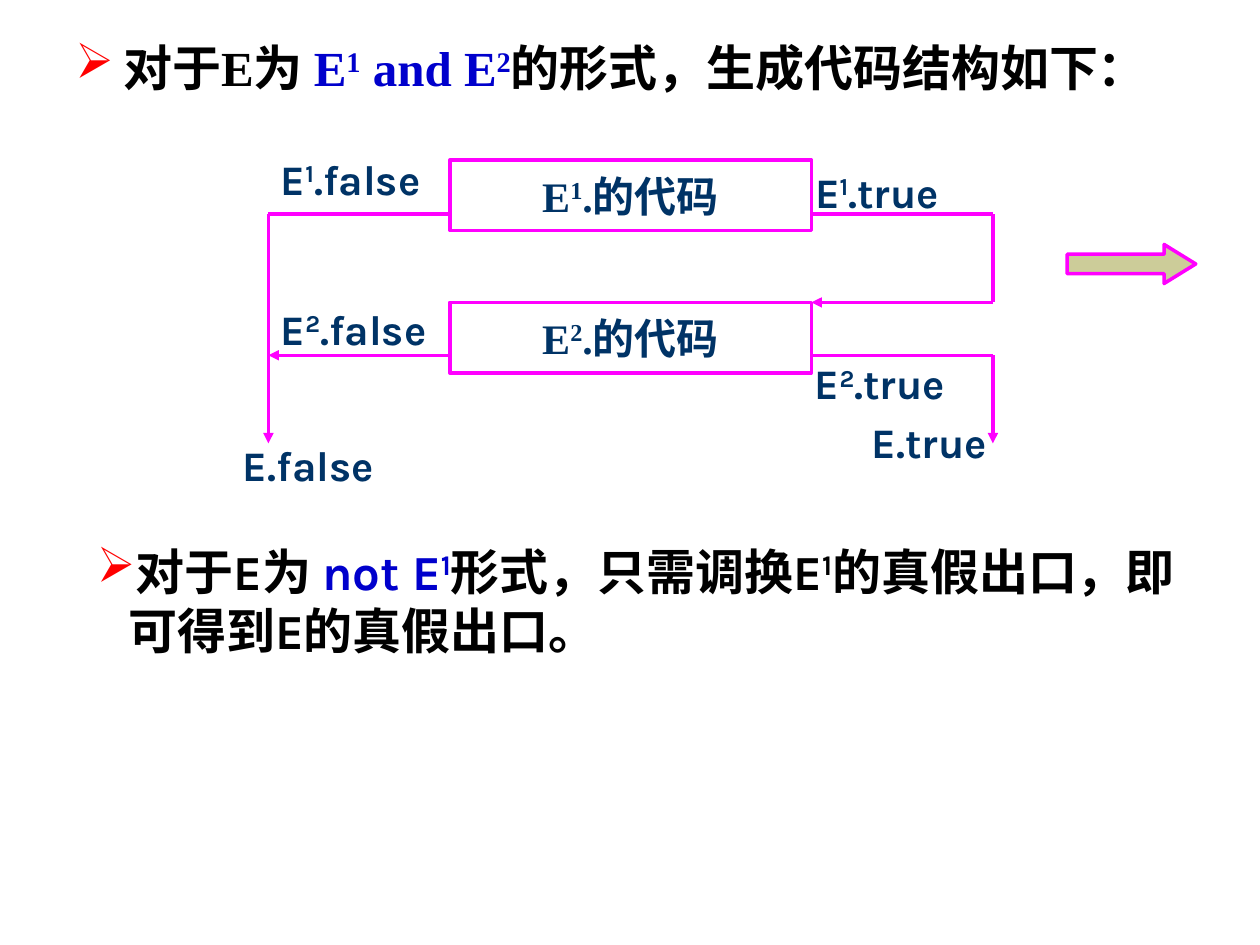
from dataclasses import dataclass
from itertools import pairwise

from lxml.etree import SubElement
from pptx import Presentation
from pptx.dml.color import RGBColor
from pptx.enum.shapes import MSO_CONNECTOR as Connector, MSO_SHAPE as Shape
from pptx.enum.text import MSO_ANCHOR as Anchor, PP_ALIGN as Align
from pptx.oxml.ns import qn
from pptx.util import Inches, Pt

MAGENTA = RGBColor(0xFF, 0x00, 0xFF)
NAVY = RGBColor(0x00, 0x33, 0x66)
BLUE = RGBColor(0x00, 0x00, 0xCC)
BLACK = RGBColor(0x00, 0x00, 0x00)
WHITE = RGBColor(0xFF, 0xFF, 0xFF)
KHAKI = RGBColor(0xCC, 0xCC, 0x99)
SERIF, SANS = "Times New Roman", "Karla"

deck = Presentation()
deck.slide_width, deck.slide_height = Inches(10), Inches(7.5)
slide = deck.slides.add_slide(deck.slide_layouts[6])

# The slide is a grid of 100 columns and 75 rows.
COLUMN, ROW = deck.slide_width / 100, deck.slide_height / 75
LEFT_RAIL, BOX_LEFT, BOX_RIGHT, RIGHT_RAIL = 21.3, 35.7, 64.4, 78.8
BOX_TOPS = (12.7, 24)
BOX_HEIGHT, EXIT_ROWS, END_ROW = 5.6, (17, 28.2), 35.2


@dataclass
class Span:
    text: str
    color: RGBColor = NAVY
    font: str = SANS
    raised: bool = False


@dataclass
class Area:
    column: float
    row: float
    columns: float
    rows: float = 5

    def lengths(self) -> tuple[int, ...]:
        return (round(self.column * COLUMN), round(self.row * ROW),
                round(self.columns * COLUMN), round(self.rows * ROW))


@dataclass
class Label:
    area: Area
    spans: list[Span]
    wrap: bool = True


@dataclass
class Bullet:
    area: Area
    indent: float
    spans: list[Span]


def indexed(number: str, suffix: str, font: str = SANS) -> list[Span]:
    """E with a raised number, then the suffix."""
    return [Span("E", font=font), Span(number, font=font, raised=True),
            Span(suffix, font=font)]


def write(para, spans: list[Span], size: int) -> None:
    for part in spans:
        span = para.add_run()
        span.text = part.text
        look = {"name": part.font, "size": Pt(size), "bold": True}
        for name, value in look.items():
            setattr(span.font, name, value)
        span.font.color.rgb = part.color
        if part.raised:
            span.font._element.set("baseline", "30000")


def add_block(kind: Shape, area: Area, fill: RGBColor):
    block = slide.shapes.add_shape(kind, *area.lengths())
    block.shadow.inherit = False
    block.fill.solid()
    block.fill.fore_color.rgb = fill
    block.line.color.rgb = MAGENTA
    block.line.width = Pt(2)
    return block


def add_code_box(number: str, top: float) -> None:
    area = Area(BOX_LEFT, top, BOX_RIGHT - BOX_LEFT, BOX_HEIGHT)
    frame = add_block(Shape.RECTANGLE, area, WHITE).text_frame
    frame.vertical_anchor = Anchor.MIDDLE
    para = frame.paragraphs[0]
    para.alignment = Align.CENTER
    write(para, indexed(number, ".的代码", SERIF), 24)


def add_wire(points: list[tuple[float, float]]) -> None:
    """Straight segments through the points, with an arrowhead at the last."""
    for start, end in pairwise(points):
        ends = [round(length) for column, row in (start, end)
                for length in (column * COLUMN, row * ROW)]
        wire = slide.shapes.add_connector(Connector.STRAIGHT, *ends)
        wire.line.color.rgb = MAGENTA
        wire.line.width = Pt(2)
        if end == points[-1]:
            SubElement(wire.line._get_or_add_ln(), qn("a:tailEnd"), type="triangle")
        SubElement(wire._element.spPr, qn("a:effectLst"))


def add_text(area: Area, wrap: bool = True):
    frame = slide.shapes.add_textbox(*area.lengths()).text_frame
    frame.word_wrap = wrap
    return frame.paragraphs[0]


def add_bullet(bullet: Bullet) -> None:
    para = add_text(bullet.area)
    props = para._p.get_or_add_pPr()
    indent = round(bullet.indent * COLUMN)
    props.set("marL", str(indent))
    props.set("indent", str(-indent))
    SubElement(SubElement(props, qn("a:buClr")), qn("a:srgbClr"), val="FF0000")
    SubElement(props, qn("a:buChar"), char="➢")
    write(para, bullet.spans, 28)


WIRES = [
    [(BOX_LEFT, EXIT_ROWS[0]), (LEFT_RAIL, EXIT_ROWS[0]), (LEFT_RAIL, END_ROW)],
    [(BOX_LEFT, EXIT_ROWS[1]), (LEFT_RAIL, EXIT_ROWS[1])],
    [(BOX_RIGHT, EXIT_ROWS[0]), (RIGHT_RAIL, EXIT_ROWS[0]),
     (RIGHT_RAIL, BOX_TOPS[1]), (BOX_RIGHT, BOX_TOPS[1])],
    [(BOX_RIGHT, EXIT_ROWS[1]), (RIGHT_RAIL, EXIT_ROWS[1]), (RIGHT_RAIL, END_ROW)],
]
LABELS = [
    Label(Area(LEFT_RAIL, 11.7, 16.6), indexed("1", ".false")),
    Label(Area(LEFT_RAIL, 23.6, 16.6), indexed("2", ".false")),
    Label(Area(18.3, 34.4, 15.1), [Span("E.false")]),
    Label(Area(63.7, 12.7, 18.2), indexed("1", ".true")),
    Label(Area(63.7, 27.9, 19.7), indexed("2", ".true")),
    Label(Area(68.2, 32.6, 12), [Span("E.true")], wrap=False),
]
BULLETS = [
    Bullet(Area(5, 2.5, 90.9, 5.8), 3.8, [
        Span("对于E为 ", BLACK, SERIF),
        Span("E", BLUE, SERIF), Span("1", BLUE, SERIF, True),
        Span(" and E", BLUE, SERIF), Span("2", BLUE, SERIF, True),
        Span("的形式，生成代码结构如下：", BLACK, SERIF),
    ]),
    Bullet(Area(6.7, 42.5, 88.3, 10.3), 2.5, [
        Span("对于", BLACK, SERIF), Span("E", BLACK), Span("为 ", BLACK, SERIF),
        Span("not E", BLUE), Span("1", BLUE, raised=True),
        Span("形式，只需调换", BLACK, SERIF),
        Span("E", BLACK), Span("1", BLACK, raised=True),
        Span("的真假出口，即可得到", BLACK, SERIF), Span("E", BLACK),
        Span("的真假出口。", BLACK, SERIF),
    ]),
]

for number, top in zip("12", BOX_TOPS):
    add_code_box(number, top)
for points in WIRES:
    add_wire(points)
for label in LABELS:
    write(add_text(label.area, label.wrap), label.spans, 24)
for bullet in BULLETS:
    add_bullet(bullet)
arrow = add_block(Shape.RIGHT_ARROW, Area(84.7, 19.4, 10.2, 3.1), KHAKI)
arrow.adjustments[1] = 0.81

deck.save("out.pptx")
